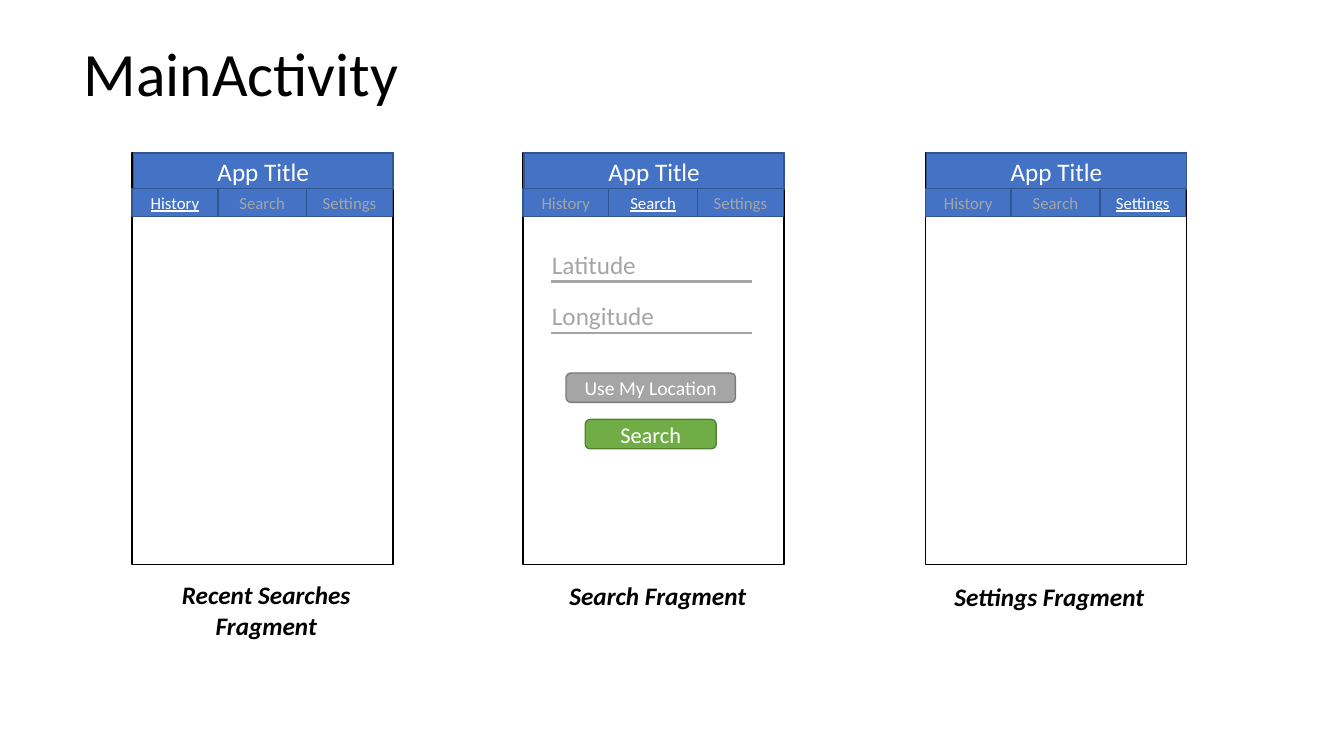
from dataclasses import dataclass

from lxml.etree import SubElement
from pptx import Presentation
from pptx.dml.color import RGBColor
from pptx.enum.shapes import MSO_CONNECTOR as Connector, MSO_SHAPE as Preset
from pptx.enum.text import MSO_ANCHOR as Anchor, PP_ALIGN as Align
from pptx.oxml.ns import qn
from pptx.shapes.autoshape import Shape
from pptx.shapes.shapetree import GroupShapes
from pptx.slide import Slide
from pptx.util import Cm, Pt

BLACK = RGBColor(0x00, 0x00, 0x00)
WHITE = RGBColor(0xFF, 0xFF, 0xFF)
BLUE = RGBColor(0x44, 0x72, 0xC4)
DARK_BLUE = RGBColor(0x32, 0x54, 0x91)
GRAY = RGBColor(0xA5, 0xA5, 0xA5)
DARK_GRAY = RGBColor(0x7A, 0x7A, 0x7A)
GREEN = RGBColor(0x70, 0xAD, 0x47)
DARK_GREEN = RGBColor(0x53, 0x80, 0x35)

FONT = "Calibri"
SCREEN_TOP, SCREEN_WIDTH, SCREEN_HEIGHT = 3.86, 6.58, 10.36
BAR_HEIGHT, TAB_TOP, TAB_HEIGHT = 0.91, 4.75, 0.71
TABS = {"History": 2.16, "Search": 2.24, "Settings": 2.16}
FIELDS = ("Latitude", "Longitude")
FIELD_TOP, FIELD_PITCH, FIELD_WIDTH = 6.15, 1.3, 5.06
BUTTON_CENTER, BUTTON_HEIGHT = 3.22, 0.74


@dataclass(frozen=True)
class Box:
    """Position and size in centimetres."""

    left: float
    top: float
    width: float
    height: float

    def lengths(self) -> tuple[Cm, Cm, Cm, Cm]:
        """Return the four lengths for python-pptx."""
        return Cm(self.left), Cm(self.top), Cm(self.width), Cm(self.height)


@dataclass(frozen=True)
class Screen:
    """A phone screen with its active tab and caption."""

    left: float
    active_tab: str
    caption: str
    caption_box: Box
    caption_align: Align = Align.LEFT


@dataclass(frozen=True)
class Button:
    """A rounded button on the search screen."""

    label: str
    top: float
    width: float
    size: int
    fill: RGBColor
    outline: RGBColor


SCREENS = (
    Screen(13.18, "Search", "Search Fragment", Box(14.1, 14.5, 5.08, 1.07)),
    Screen(23.32, "Settings", "Settings Fragment", Box(23.8, 14.53, 6.1, 1.02)),
    Screen(3.33, "History", "Recent Searches Fragment",
           Box(4.17, 14.48, 5.08, 1.8), Align.CENTER),
)
BUTTONS = (
    Button("Use My Location", 9.4, 4.27, 14, GRAY, DARK_GRAY),
    Button("Search", 10.57, 3.3, 16, GREEN, DARK_GREEN),
)


def write(shape: Shape, text: str, size: int, color: RGBColor, align: Align) -> None:
    """Write one formatted paragraph into a shape."""
    shape.text_frame.text = text
    shape.text_frame.word_wrap = True
    paragraph = shape.text_frame.paragraphs[0]
    paragraph.alignment = align
    font = paragraph.font
    font.name, font.size, font.color.rgb = FONT, Pt(size), color


def add_panel(shapes: GroupShapes, box: Box, fill: RGBColor, outline: RGBColor,
              preset: Preset = Preset.RECTANGLE) -> Shape:
    """Add a filled, outlined shape."""
    shape = shapes.add_shape(preset, *box.lengths())
    shape.shadow.inherit = False
    shape.fill.solid()
    shape.fill.fore_color.rgb = fill
    shape.line.color.rgb = outline
    shape.line.width = Pt(1)
    shape.text_frame.vertical_anchor = Anchor.MIDDLE
    return shape


def add_field(shapes: GroupShapes, label: str, left: float, top: float) -> None:
    """Add an underlined input field."""
    text_box = shapes.add_textbox(*Box(left, top, FIELD_WIDTH, 1.02).lengths())
    write(text_box, label, 18, GRAY, Align.LEFT)
    start, line_top = left + 0.23, Cm(top + 0.94)
    line = shapes.add_connector(Connector.STRAIGHT, Cm(start), line_top,
                                Cm(start + FIELD_WIDTH), line_top)
    line.line.color.rgb = GRAY
    line.line.width = Pt(2)
    SubElement(line.element.spPr, qn("a:effectLst"))


def add_search_form(shapes: GroupShapes, left: float) -> None:
    """Add the fields and buttons of the search screen."""
    for index, label in enumerate(FIELDS):
        add_field(shapes, label, left + 0.48, FIELD_TOP + index * FIELD_PITCH)
    for button in BUTTONS:
        box = Box(left + BUTTON_CENTER - button.width / 2, button.top,
                  button.width, BUTTON_HEIGHT)
        shape = add_panel(shapes, box, button.fill, button.outline,
                          Preset.ROUNDED_RECTANGLE)
        write(shape, button.label, button.size, WHITE, Align.CENTER)


def add_screen(slide: Slide, screen: Screen) -> None:
    """Add a grouped phone screen and its caption."""
    shapes = slide.shapes.add_group_shape().shapes
    add_panel(shapes, Box(screen.left, SCREEN_TOP, SCREEN_WIDTH, SCREEN_HEIGHT),
              WHITE, BLACK)
    bar_box = Box(screen.left + 0.03, SCREEN_TOP, SCREEN_WIDTH - 0.03, BAR_HEIGHT)
    write(add_panel(shapes, bar_box, BLUE, DARK_BLUE), "App Title", 18, WHITE,
          Align.CENTER)
    tab_left = screen.left
    for label, width in TABS.items():
        active = label == screen.active_tab
        tab = add_panel(shapes, Box(tab_left, TAB_TOP, width, TAB_HEIGHT),
                        BLUE, DARK_BLUE)
        write(tab, label, 12, WHITE if active else GRAY, Align.CENTER)
        if active:
            tab.text_frame.paragraphs[0].font.underline = True
        tab_left += width
    if screen.active_tab == "Search":
        add_search_form(shapes, screen.left)
    caption = slide.shapes.add_textbox(*screen.caption_box.lengths())
    write(caption, screen.caption, 18, BLACK, screen.caption_align)
    font = caption.text_frame.paragraphs[0].font
    font.bold = font.italic = True


def main() -> None:
    """Build and save the presentation."""
    presentation = Presentation()
    presentation.slide_width, presentation.slide_height = Cm(33.87), Cm(19.05)
    slide = presentation.slides.add_slide(presentation.slide_layouts[5])
    title = slide.shapes.title
    title.left, title.top, title.width, title.height = Box(
        1.85, 0.94, 8.94, 1.96).lengths()
    write(title, "MainActivity", 44, BLACK, Align.LEFT)
    title.text_frame.vertical_anchor = Anchor.MIDDLE
    title.text_frame.paragraphs[0].line_spacing = 0.9
    for screen in SCREENS:
        add_screen(slide, screen)
    presentation.save("out.pptx")


main()
